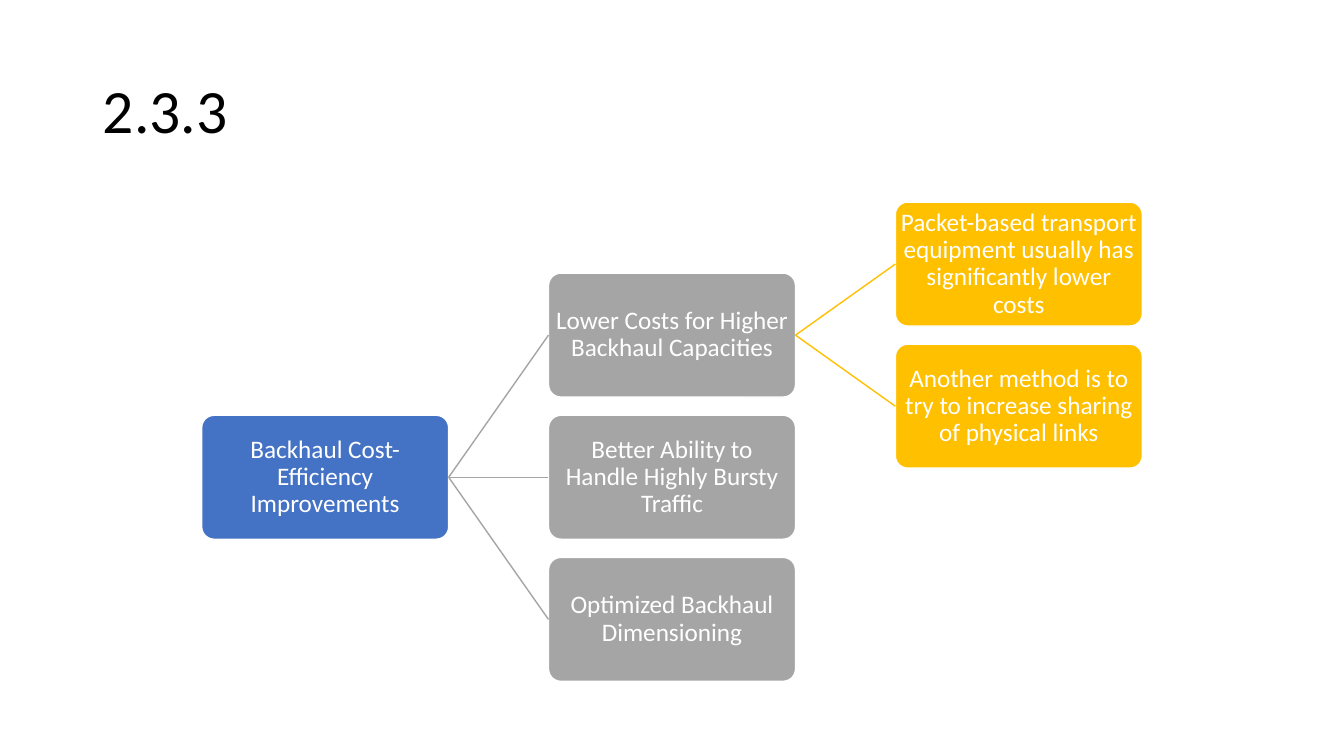
from lxml import etree
from pptx import Presentation
from pptx.dml.color import RGBColor
from pptx.enum.shapes import MSO_CONNECTOR, MSO_SHAPE
from pptx.enum.text import MSO_ANCHOR, MSO_AUTO_SIZE, PP_ALIGN
from pptx.oxml.ns import qn
from pptx.util import Inches, Pt

ROUND = MSO_SHAPE.ROUNDED_RECTANGLE
STRAIGHT = MSO_CONNECTOR.STRAIGHT
MIDDLE = MSO_ANCHOR.MIDDLE
LEFT, CENTER = PP_ALIGN.LEFT, PP_ALIGN.CENTER
NO_FIT = MSO_AUTO_SIZE.NONE

FONT = "Calibri"
COLORS = {"root": "4472C4", "topic": "A5A5A5", "detail": "FFC000",
          "white": "FFFFFF", "black": "000000"}
LEVELS = ["root", "topic", "detail"]

# Box size and the distance between columns and rows, in inches
BOX_W, BOX_H = 2.45, 1.23
COL, ROW = 3.44, 1.41

# Each node is its text and its child nodes
TREE = ("Backhaul Cost-Efficiency Improvements", [
    ("Lower Costs for Higher Backhaul Capacities", [
        ("Packet-based transport equipment usually has significantly lower costs", []),
        ("Another method is to try to increase sharing of physical links", []),
    ]),
    ("Better Ability to Handle Highly Bursty Traffic", []),
    ("Optimized Backhaul Dimensioning", []),
])


def color(name):
    return RGBColor.from_string(COLORS[name])


def style(para, size, ink, align):
    para.alignment = align
    para.line_spacing = 0.9
    para.font.name = FONT
    para.font.size = Pt(size)
    para.font.color.rgb = color(ink)


def add_title(slide, text, left, top, width, height):
    title = slide.shapes.title
    title.left, title.top = Inches(left), Inches(top)
    title.width, title.height = Inches(width), Inches(height)
    frame = title.text_frame
    frame.text = text
    frame.auto_size = NO_FIT
    frame.vertical_anchor = MIDDLE
    style(frame.paragraphs[0], 44, "black", LEFT)


def add_box(slide, text, fill, left, top):
    box = slide.shapes.add_shape(ROUND, Inches(left), Inches(top),
                                 Inches(BOX_W), Inches(BOX_H))
    box.adjustments[0] = 0.1
    box.shadow.inherit = False
    box.fill.solid()
    box.fill.fore_color.rgb = color(fill)
    box.line.color.rgb = color("white")
    box.line.width = Pt(1)
    frame = box.text_frame
    frame.word_wrap = True
    frame.vertical_anchor = MIDDLE
    frame.margin_left = frame.margin_right = Inches(0.01)
    frame.margin_top = frame.margin_bottom = Inches(0.01)
    frame.text = text
    style(frame.paragraphs[0], 18, "white", CENTER)
    return box


def join(slide, start, end, ink):
    link = slide.shapes.add_connector(STRAIGHT, 0, 0, 0, 0)
    link.begin_connect(start, 3)
    link.end_connect(end, 1)
    link.line.color.rgb = color(ink)
    link.line.width = Pt(1)
    etree.SubElement(link._element.spPr, qn("a:effectLst"))


def add_tree(slide, node, left, top, depth=0):
    """Draw a node, with its children centred on it in the next column."""
    text, kids = node
    box = add_box(slide, text, LEVELS[depth], left, top)
    first = top - ROW * (len(kids) - 1) / 2
    for i, kid in enumerate(kids):
        child = add_tree(slide, kid, left + COL, first + i * ROW, depth + 1)
        join(slide, box, child, LEVELS[depth + 1])
    return box


def main():
    prs = Presentation()
    prs.slide_width, prs.slide_height = Inches(13.33), Inches(7.5)
    slide = prs.slides.add_slide(prs.slide_layouts[5])
    add_title(slide, "2.3.3", 0.92, 0.4, 11.5, 1.45)
    add_tree(slide, TREE, 2, 4.12)
    prs.save("out.pptx")


if __name__ == "__main__":
    main()
